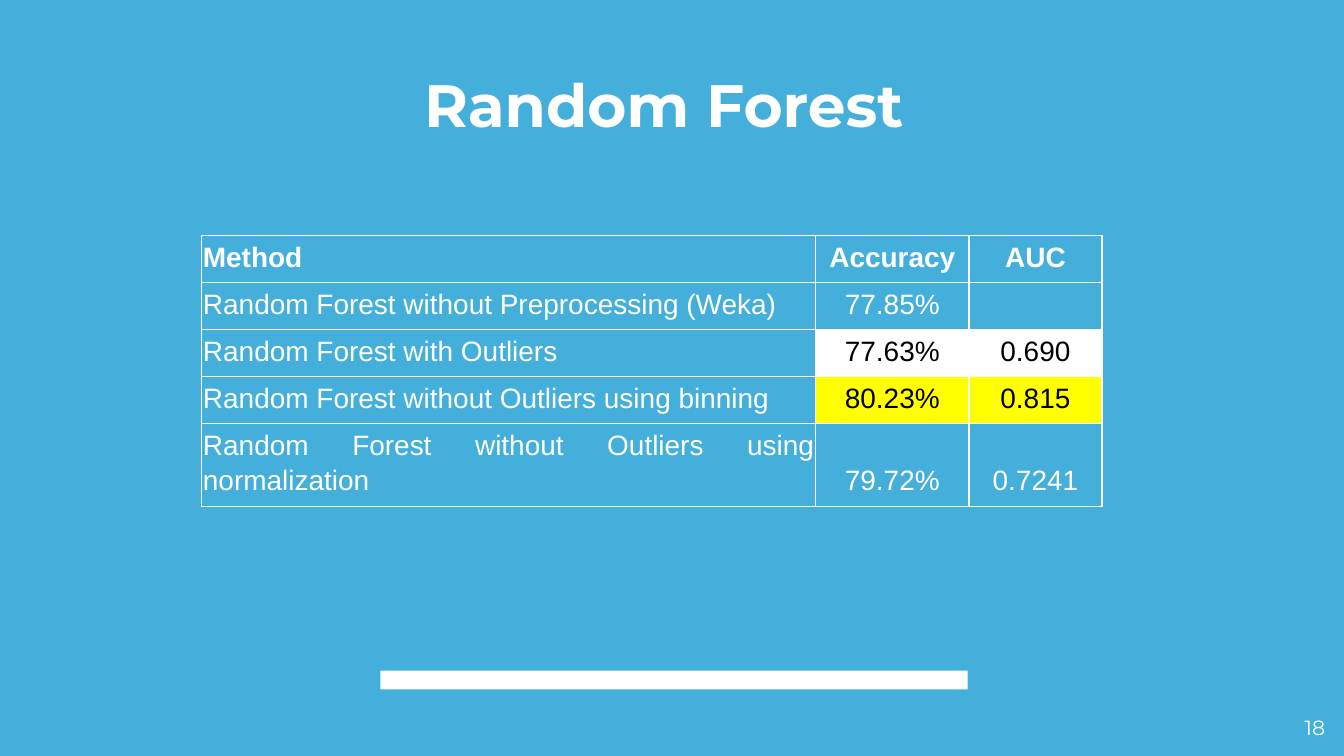
import pptx
import pptx.dml.color
import pptx.enum.shapes
import pptx.enum.text
import pptx.oxml
import pptx.oxml.ns
import pptx.util
from pptx.util import Inches

ALIGN = pptx.enum.text.PP_ALIGN
ANCHOR = pptx.enum.text.MSO_ANCHOR
BLUE, WHITE, BLACK, YELLOW = "45AFDC", "FFFFFF", "000000", "FFFF00"

RESULTS = [
    ("Method", "Accuracy", "AUC"),
    ("Random Forest without Preprocessing (Weka)", "77.85%", ""),
    ("Random Forest with Outliers", "77.63%", "0.690"),
    ("Random Forest without Outliers using binning", "80.23%", "0.815"),
    ("Random Forest without Outliers using normalization", "79.72%", "0.7241"),
]
HIGHLIGHTS = {2: WHITE, 3: YELLOW}  # row: fill of its figures
COLUMN_WIDTHS = (4.57, 1.14, 0.99)
ROW_HEIGHT = 0.29


def color(hex_text):
    return pptx.dml.color.RGBColor.from_string(hex_text)


def apply(target, values):
    for name, value in values.items():
        setattr(target, name, value)


def write(frame, text, align, size, font, ink=WHITE, bold=False, spacing=1.0):
    paragraph = frame.paragraphs[0]
    apply(paragraph, {"alignment": align, "line_spacing": spacing})
    if text:
        run = paragraph.add_run()
        run.text = text
        apply(run.font, {"size": pptx.util.Pt(size), "name": font, "bold": bold})
        run.font.color.rgb = color(ink)
    else:  # keeps an empty cell as low as its row
        end = pptx.oxml.ns.qn("a:endParaRPr")
        paragraph._p.append(paragraph._p.makeelement(end, {"sz": str(size * 100)}))


def set_frame(frame, anchor):
    margin = Inches(0.1)
    apply(frame, {"word_wrap": True, "vertical_anchor": anchor,
                  "auto_size": pptx.enum.text.MSO_AUTO_SIZE.NONE,
                  "margin_left": margin, "margin_right": margin,
                  "margin_top": margin, "margin_bottom": margin})


def add_borders(cell, hex_text, points):
    properties = cell._tc.get_or_add_tcPr()
    for side in "LRTB":
        properties.append(pptx.oxml.parse_xml(
            f'<a:ln{side} {pptx.oxml.ns.nsdecls("a")} w="{int(points * 12700)}">'
            f'<a:solidFill><a:srgbClr val="{hex_text}"/></a:solidFill></a:ln{side}>'))


def place_title(slide, left, top, width, height):
    title = slide.shapes.title
    apply(title, {"left": Inches(left), "top": Inches(top),
                  "width": Inches(width), "height": Inches(height)})
    set_frame(title.text_frame, ANCHOR.BOTTOM)
    write(title.text_frame, "Random Forest", ALIGN.CENTER, 32, "Montserrat", bold=True)


def place_results(slide, left, top):
    table = slide.shapes.add_table(
        len(RESULTS), len(COLUMN_WIDTHS), Inches(left), Inches(top),
        Inches(sum(COLUMN_WIDTHS)), Inches(ROW_HEIGHT * len(RESULTS))).table
    apply(table, {"first_row": False, "horz_banding": False})
    for column, width in zip(table.columns, COLUMN_WIDTHS):
        column.width = Inches(width)
    for r, values in enumerate(RESULTS):
        table.rows[r].height = Inches(ROW_HEIGHT)
        for c, text in enumerate(values):
            cell = table.cell(r, c)
            apply(cell, {"vertical_anchor": ANCHOR.BOTTOM,
                         "margin_left": Inches(0.01), "margin_right": Inches(0.01),
                         "margin_top": pptx.util.Pt(1), "margin_bottom": Inches(0.07)})
            add_borders(cell, WHITE, 0.75)
            highlight = HIGHLIGHTS.get(r) if c else None
            if highlight:
                cell.fill.solid()
                cell.fill.fore_color.rgb = color(highlight)
            else:
                cell.fill.background()
            write(cell.text_frame, text, ALIGN.CENTER if c else ALIGN.JUSTIFY, 15, "Arial",
                  BLACK if highlight else WHITE, bold=r == 0, spacing=1.15)


def place_footer(slide, left, top):
    # White bar
    bar = slide.shapes.add_shape(pptx.enum.shapes.MSO_SHAPE.RECTANGLE, Inches(left),
                                 Inches(top), Inches(4.37), Inches(0.14))
    bar.shadow.inherit = False
    bar.fill.solid()
    bar.fill.fore_color.rgb = color(WHITE)
    bar.line.fill.background()

    # Page number
    number = slide.shapes.add_textbox(Inches(left + 6.53), Inches(top + 0.23),
                                      Inches(0.6), Inches(0.32))
    set_frame(number.text_frame, ANCHOR.TOP)
    write(number.text_frame, "18", ALIGN.RIGHT, 11, "Montserrat")


def main():
    deck = pptx.Presentation()
    # 16:9 page
    apply(deck, {"slide_width": Inches(10), "slide_height": Inches(10) * 9 // 16})
    slide = deck.slides.add_slide(deck.slide_layouts[5])
    slide.background.fill.solid()
    slide.background.fill.fore_color.rgb = color(BLUE)
    place_footer(slide, 2.83, 4.99)
    place_title(slide, 0.44, 0.51, 9, 0.63)
    place_results(slide, 1.5, 1.75)
    deck.save("out.pptx")


if __name__ == "__main__":
    main()
